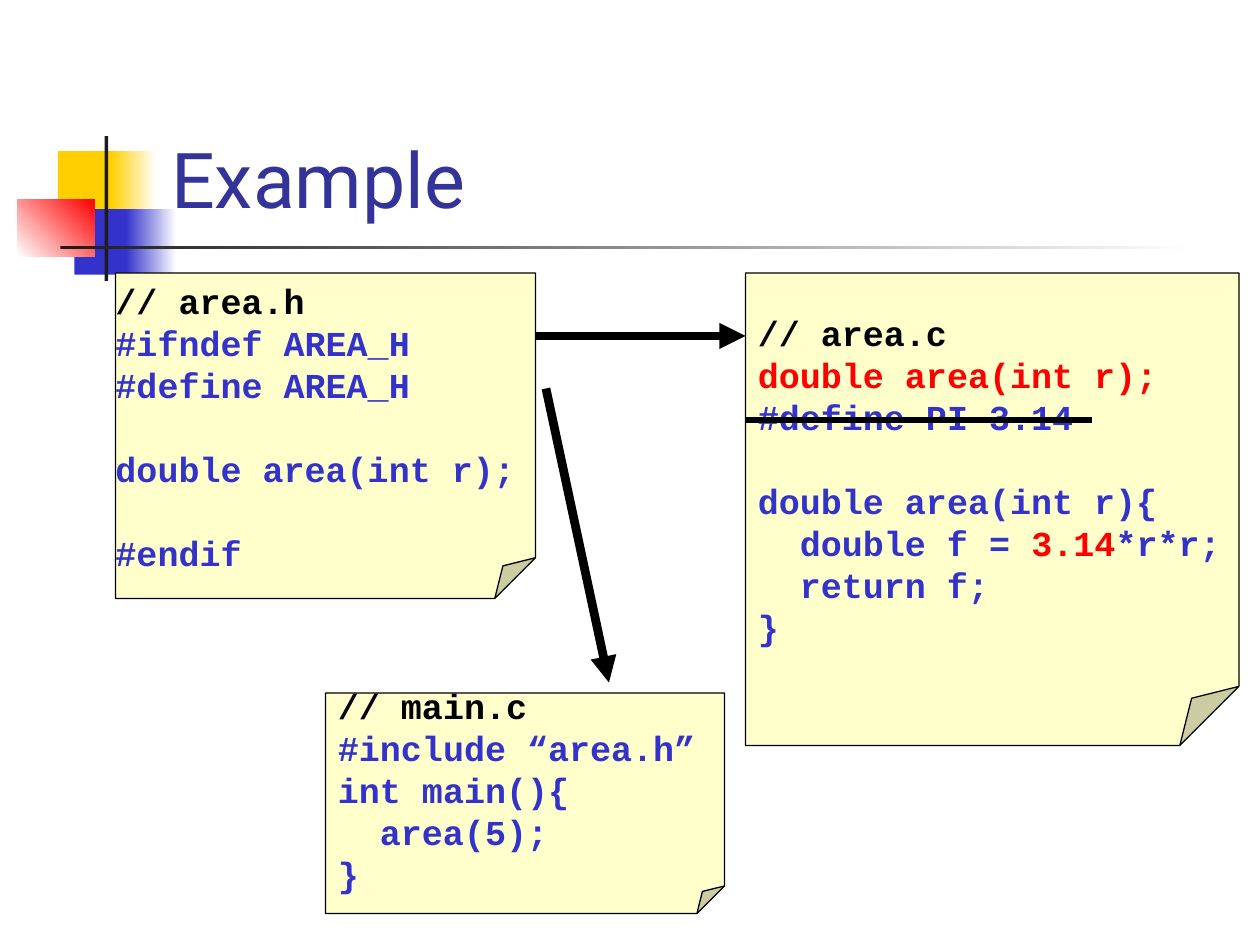
from pptx import Presentation
from pptx.util import Inches, Pt
from pptx.dml.color import RGBColor
from pptx.enum.shapes import MSO_SHAPE as Shp, MSO_CONNECTOR as Con
from pptx.enum.text import MSO_ANCHOR as Anc, PP_ALIGN as Al
from pptx.oxml.ns import qn
from lxml.etree import SubElement as Sub

WIDE, HIGH = 10, 7.5
COLS = 120
UNIT = WIDE / COLS
BLACK, BLUE, RED, WHITE = "000000", "3333CC", "FF0000", "FFFFFF"
GOLD, DARK, CREAM, NAVY = "FFCF01", "1C1C1C", "FFFFCC", "333399"
SIZE, LEAD = 20, 24
CHAR = SIZE * 0.6

DECOR = [
    ((0.46, 1.2, 0.48, 0.52), [GOLD], 0),
    ((0.88, 1.2, 0.36, 0.52), [GOLD, WHITE], 0),
    ((0.59, 1.66, 0.46, 0.52), [BLUE], 0),
    ((1, 1.66, 0.4, 0.52), [BLUE, WHITE], 0),
    ((0.14, 1.58, 0.61, 0.46), [WHITE, RED], 45),
    ((0.83, 1.08, 0.03, 1.15), [DARK], 0),
    ((0.48, 1.95, 9, 0.03), [DARK, WHITE], 0),
]

NOTES = [
    ((11, 26, 40, 31), Anc.TOP, 0, [
        (0, 0, [("// area.h", BLACK)]),
        (0, 0, [("#ifndef AREA_H", BLUE)]),
        (0, 0, [("#define AREA_H", BLUE)]),
        (1, 0, [("double area(int r);", BLUE)]),
        (1, 0, [("#endif", BLUE)]),
    ]),
    ((31, 66, 38, 21), Anc.MIDDLE, 0.1, [
        (0, 0, [("// main.c", BLACK)]),
        (0, 0, [("#include “area.h”", BLUE)]),
        (0, 0, [("int main(){", BLUE)]),
        (0, 2, [("area(5);", BLUE)]),
        (0, 0, [("}", BLUE)]),
    ]),
    ((71, 26, 47, 45), Anc.MIDDLE, 0.1, [
        (0, 0, [("// area.c", BLACK)]),
        (0, 0, [("double area(int r);", RED)]),
        (0, 0, [("#define PI 3.14", BLUE)]),
        (1, 0, [("double area(int r){", BLUE)]),
        (0, 2, [("double f = ", BLUE), ("3.14", RED), ("*r*r;", BLUE)]),
        (0, 2, [("return f;", BLUE)]),
        (0, 0, [("}", BLUE)]),
    ]),
]

LINES = [
    ((52, 37, 58, 65), 5, True),
    ((51, 32, 71, 32), 5, True),
    ((71, 40, 104, 40), 3, False),
]


def rgb(hue):
    return RGBColor.from_string(hue)


def grid(spot):
    return [Inches(n * UNIT) for n in spot]


def write(para, text, font, size, hue, bold=False):
    run = para.add_run()
    run.text = text
    run.font.name, run.font.size, run.font.bold = font, Pt(size), bold
    run.font.color.rgb = rgb(hue)


def add_block(slide, spot, hues, turn):
    box = slide.shapes.add_shape(Shp.RECTANGLE, *map(Inches, spot))
    box.shadow.inherit = False
    box.line.fill.background()
    if len(hues) == 1:
        box.fill.solid()
        box.fill.fore_color.rgb = rgb(hues[0])
        return
    box.fill.gradient()
    box.fill.gradient_angle = turn
    for stop, hue in zip(box.fill.gradient_stops, hues):
        stop.color.rgb = rgb(hue)


def add_title(slide, text):
    box = slide.shapes.add_textbox(*map(Inches, (1.26, 0.23, 8.52, 1.6)))
    frame = box.text_frame
    frame.word_wrap = True
    frame.vertical_anchor = Anc.BOTTOM
    write(frame.paragraphs[0], text, "Roboto", 44, NAVY)


def add_note(slide, spot, anchor, inset, code):
    note = slide.shapes.add_shape(Shp.FOLDED_CORNER, *grid(spot))
    note.shadow.inherit = False
    fold = note._element.spPr.find(qn("a:prstGeom")).find(qn("a:avLst"))
    Sub(fold, qn("a:gd"), name="adj", fmla="val 12500")
    note.fill.solid()
    note.fill.fore_color.rgb = rgb(CREAM)
    note.line.color.rgb = rgb(BLACK)
    note.line.width = Pt(0.75)
    frame = note.text_frame
    frame.word_wrap = True
    frame.vertical_anchor = anchor
    frame.margin_left = Inches(inset)
    for row, (gap, dent, runs) in enumerate(code):
        para = frame.add_paragraph() if row else frame.paragraphs[0]
        para.alignment = Al.LEFT
        para.line_spacing = Pt(LEAD)
        para.space_before = Pt(gap * LEAD)
        para._p.get_or_add_pPr().set("marL", str(Pt(dent * CHAR)))
        for text, hue in runs:
            write(para, text, "Courier New", SIZE, hue, True)


def add_line(slide, ends, width, arrow):
    line = slide.shapes.add_connector(Con.STRAIGHT, *grid(ends))
    line.line.color.rgb = rgb(BLACK)
    line.line.width = Pt(width)
    if arrow:
        Sub(line.line._get_or_add_ln(), qn("a:tailEnd"), type="triangle")
    Sub(line._element.spPr, qn("a:effectLst"))


def main():
    deck = Presentation()
    deck.slide_width, deck.slide_height = Inches(WIDE), Inches(HIGH)
    slide = deck.slides.add_slide(deck.slide_layouts[6])
    for block in DECOR:
        add_block(slide, *block)
    add_title(slide, "Example")
    for note in NOTES:
        add_note(slide, *note)
    for line in LINES:
        add_line(slide, *line)
    deck.save("out.pptx")


if __name__ == "__main__":
    main()
